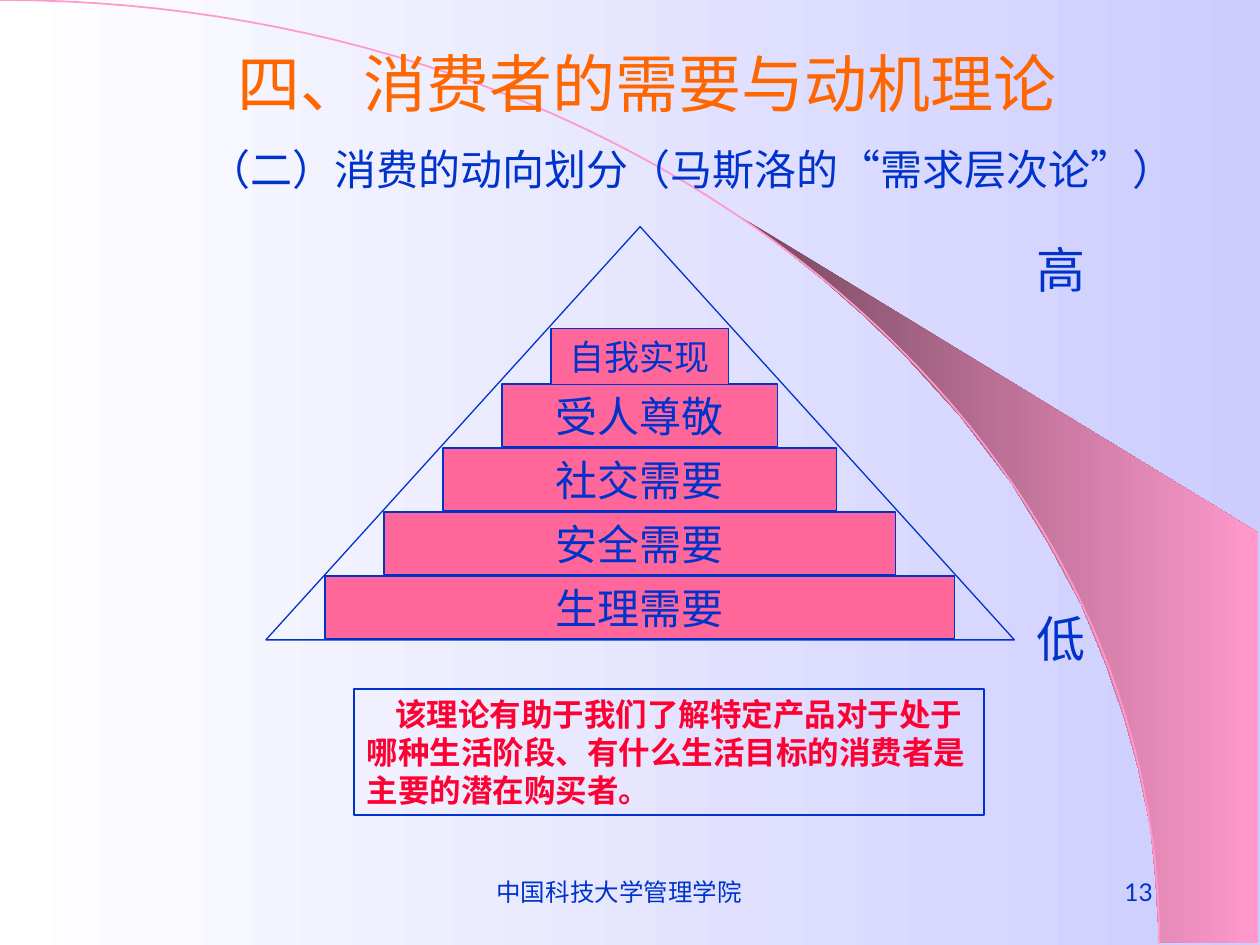
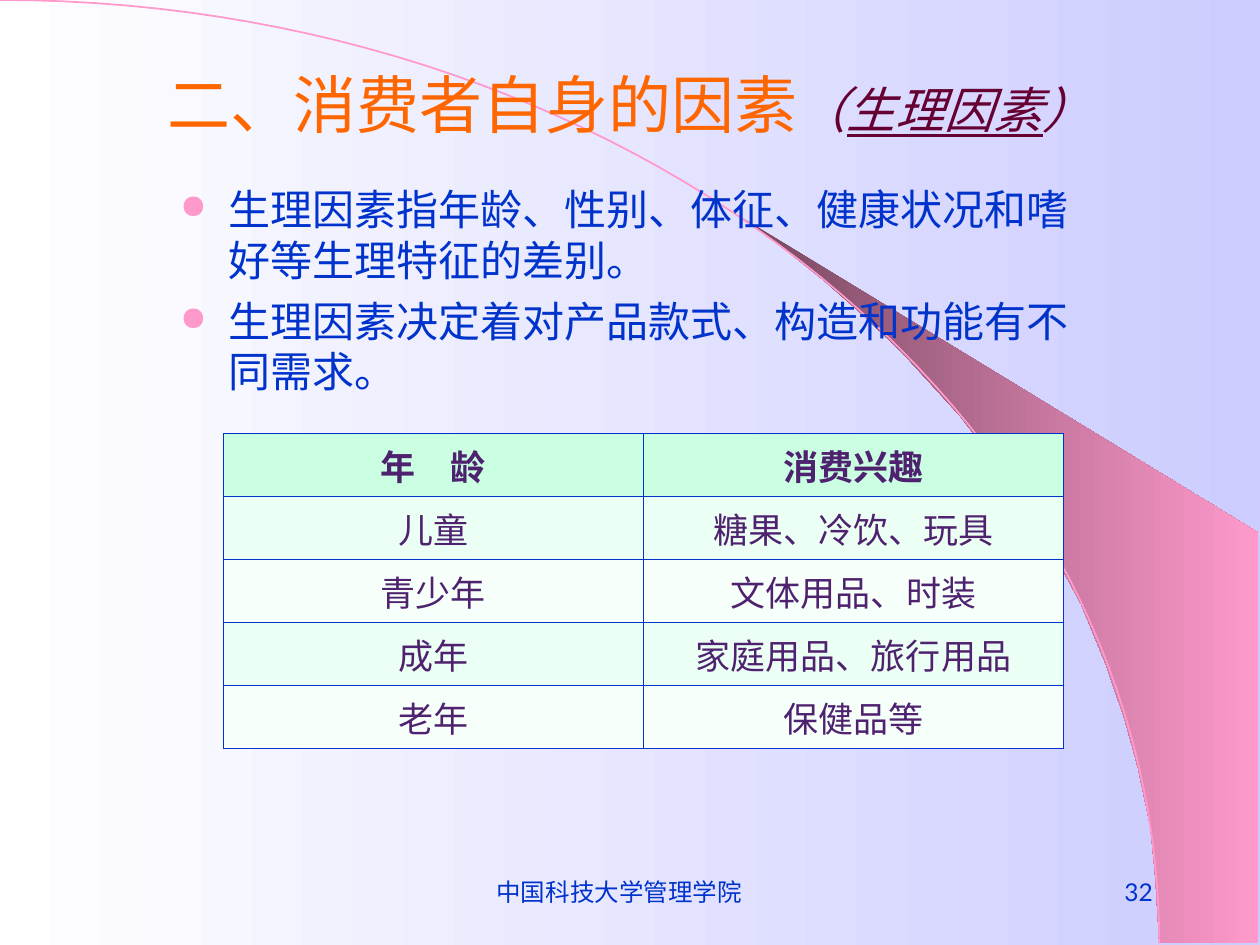
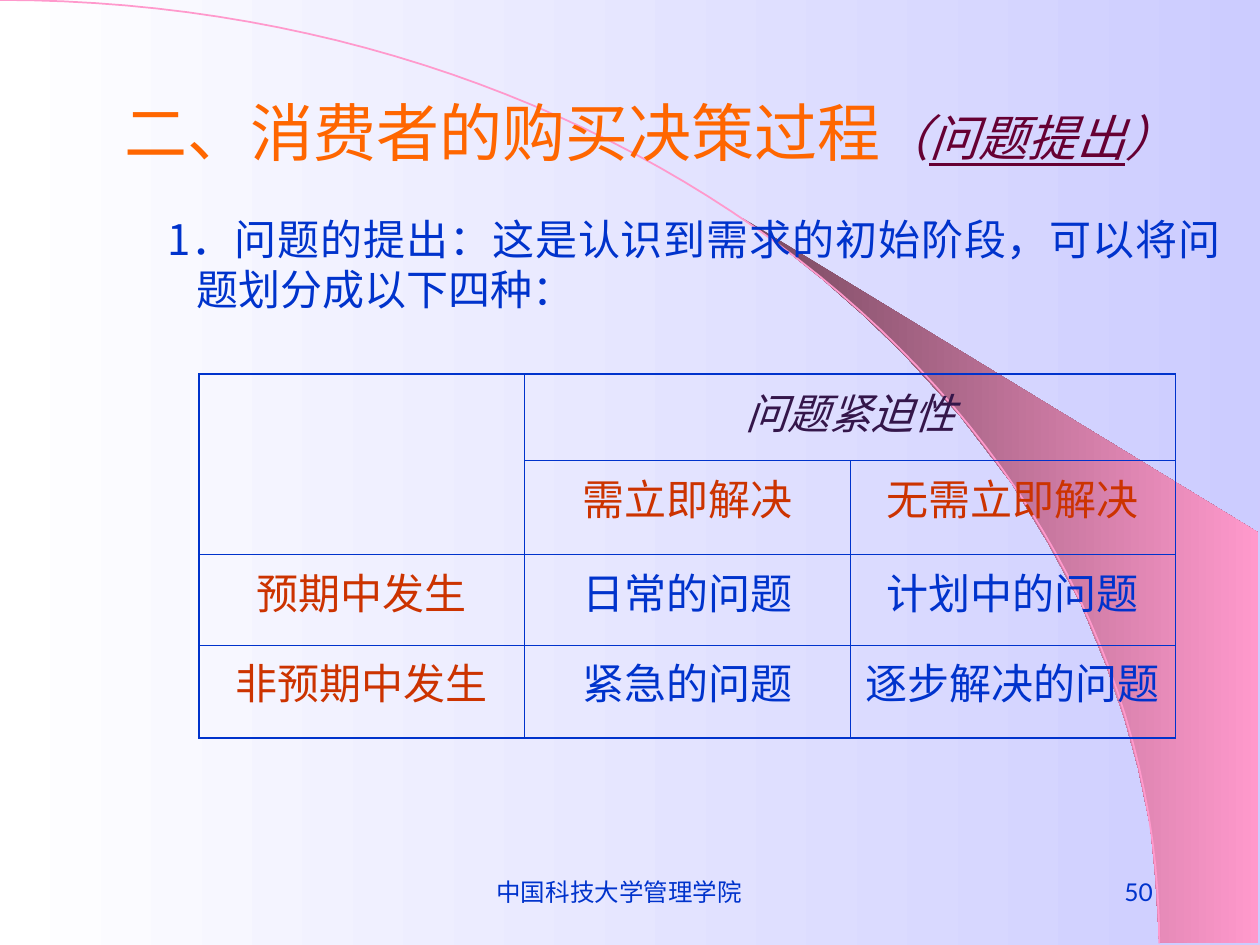
from dataclasses import dataclass

from lxml.etree import SubElement
from pptx import Presentation
from pptx.dml.color import RGBColor
from pptx.dml.fill import FillFormat
from pptx.enum.shapes import MSO_SHAPE
from pptx.enum.text import MSO_ANCHOR, PP_ALIGN
from pptx.oxml import parse_xml
from pptx.oxml.ns import nsdecls, qn
from pptx.shapes.autoshape import Shape
from pptx.slide import Slide
from pptx.table import Table, _Cell
from pptx.text.text import TextFrame
from pptx.util import Cm, Pt

COLORS = {
    "white": "FFFFFF", "lavender": "CCCCFF", "plum": "76475E", "pink": "FF99CC",
    "orange": "FF6600", "blue": "0033CC", "wine": "660033", "red": "FF0033",
    "rose": "FF6699", "violet": "4F2270", "dark violet": "34164A", "rust": "CC3300",
    "mint": "CAFFE2", "pale mint": "ECFFF4", "faint mint": "F6FFFA",
}
HAN_FONT = "Noto Sans CJK SC"
LATIN_FONT = "Lato"
LEADING = 1.2
THIN, THICK = 0.45, 1.08

# Outline of the shaded wedge and control points of the arc, in centimetres.
WEDGE = [
    (23.37, 19.0), (25.37, 19.02), (25.37, 10.74), (14.96, 4.39), (15.85, 5.05),
    (16.59, 5.64), (17.4, 6.35), (18.19, 7.11), (19.35, 8.38), (20.4, 9.75),
    (21.13, 10.95), (21.79, 12.17), (22.3, 13.41), (22.68, 14.53), (22.94, 15.47),
    (23.19, 16.66), (23.29, 17.68),
]
ARC = [(0, 0), (12.9, 0), (23.37, 8.51), (23.37, 19.02)]
ARC_STEPS = 60


@dataclass(frozen=True)
class Box:
    left: float
    top: float
    width: float
    height: float

    def lengths(self) -> tuple[Cm, Cm, Cm, Cm]:
        return Cm(self.left), Cm(self.top), Cm(self.width), Cm(self.height)


@dataclass(frozen=True)
class Level:
    text: str
    box: Box
    size: float = 24


@dataclass(frozen=True)
class CellStyle:
    color: str
    bold: bool = False
    italic: bool = False
    fill: str | None = None


def rgb(name: str) -> RGBColor:
    return RGBColor.from_string(COLORS[name])


def fill_gradient(fill: FillFormat, start: str, end: str) -> None:
    fill.gradient()
    fill.gradient_angle = 0
    for stop, name in zip(fill.gradient_stops, (start, end)):
        stop.color.rgb = rgb(name)


def write(
    frame: TextFrame, text: str, *, size: float = 24, color: str = "blue",
    font: str = HAN_FONT, bold: bool = False, italic: bool = False,
    underline: bool = False, align: PP_ALIGN = PP_ALIGN.LEFT,
    leading: float | None = None, indent: float = 0, first_line: float = 0,
    before: float = 0, bullet: str | None = None, new_paragraph: bool = False,
) -> None:
    """Append a run to the last paragraph, or to a new one."""
    paragraph = frame.add_paragraph() if new_paragraph else frame.paragraphs[-1]
    paragraph.alignment = align
    paragraph.space_before = Pt(before)
    if leading:
        paragraph.line_spacing = Pt(leading)
    properties = paragraph._p.get_or_add_pPr()
    properties.set("marL", str(Cm(indent)))
    properties.set("indent", str(Cm(first_line)))
    if bullet:
        bullet_color = SubElement(properties, qn("a:buClr"))
        SubElement(bullet_color, qn("a:srgbClr"), val=COLORS["pink"])
        SubElement(properties, qn("a:buSzPct"), val="80000")
        SubElement(properties, qn("a:buChar"), char=bullet)
    run = paragraph.add_run()
    run.text = text
    run.font.size = Pt(size)
    run.font.bold = bold
    run.font.italic = italic
    run.font.underline = underline
    run.font.color.rgb = rgb(color)
    run.font.name = font
    SubElement(run._r.get_or_add_rPr(), qn("a:ea"), typeface=HAN_FONT)


def add_text_box(
    slide: Slide, box: Box, anchor: MSO_ANCHOR = MSO_ANCHOR.TOP
) -> TextFrame:
    frame = slide.shapes.add_textbox(*box.lengths()).text_frame
    frame.word_wrap = True
    frame.vertical_anchor = anchor
    return frame


def add_outlined(
    slide: Slide, kind: MSO_SHAPE, box: Box, fill: str | None = None,
    line_width: float = 0.75,
) -> Shape:
    shape = slide.shapes.add_shape(kind, *box.lengths())
    shape.shadow.inherit = False
    if fill:
        shape.fill.solid()
        shape.fill.fore_color.rgb = rgb(fill)
    else:
        shape.fill.background()
    shape.line.color.rgb = rgb("blue")
    shape.line.width = Pt(line_width)
    shape.text_frame.word_wrap = True
    shape.text_frame.vertical_anchor = MSO_ANCHOR.TOP
    return shape


def add_outline(slide: Slide, points: list[tuple[float, float]], close: bool) -> Shape:
    corners = [(Cm(x), Cm(y)) for x, y in points]
    builder = slide.shapes.build_freeform(*corners[0])
    builder.add_line_segments(corners[1:], close=close)
    shape = builder.convert_to_shape()
    shape.shadow.inherit = False
    return shape


def arc_point(t: float) -> tuple[float, float]:
    """Point of the cubic curve through the ARC control points."""
    weights = ((1 - t) ** 3, 3 * t * (1 - t) ** 2, 3 * t**2 * (1 - t), t**3)
    x, y = (sum(w * p[axis] for w, p in zip(weights, ARC)) for axis in (0, 1))
    return x, y


def add_decoration(slide: Slide) -> None:
    wedge = add_outline(slide, WEDGE, close=True)
    fill_gradient(wedge.fill, "plum", "pink")
    wedge.line.fill.background()
    points = [arc_point(step / ARC_STEPS) for step in range(ARC_STEPS + 1)]
    arc = add_outline(slide, points, close=False)
    arc.fill.background()
    arc.line.color.rgb = rgb("pink")
    arc.line.width = Pt(1)


def add_footer(slide: Slide, number: int) -> None:
    school = add_text_box(slide, Box(8.69, 17.35, 8.05, 1.27), MSO_ANCHOR.MIDDLE)
    school.margin_right = Cm(0.71)
    write(school, "中国科技大学管理学院", size=14, font=LATIN_FONT, align=PP_ALIGN.CENTER)
    page = add_text_box(slide, Box(18.21, 17.35, 5.28, 1.27), MSO_ANCHOR.MIDDLE)
    write(page, str(number), size=14, font=LATIN_FONT, align=PP_ALIGN.RIGHT)


def add_title(slide: Slide, box: Box, text: str, topic: str | None = None) -> None:
    frame = add_text_box(slide, box, MSO_ANCHOR.MIDDLE)
    write(frame, text, size=36, color="orange", align=PP_ALIGN.CENTER)
    if topic:
        for part in ("（", topic, "）"):
            write(frame, part, size=28, color="wine", italic=True,
                  underline=part == topic, align=PP_ALIGN.CENTER)


def start_slide(
    presentation: Presentation, number: int, title_box: Box, title: str,
    topic: str | None = None,
) -> Slide:
    slide = presentation.slides.add_slide(presentation.slide_layouts[6])
    add_decoration(slide)
    add_title(slide, title_box, title, topic)
    add_footer(slide, number)
    return slide


def set_borders(cell: _Cell, widths: dict[str, float]) -> None:
    properties = cell._tc.get_or_add_tcPr()
    for index, (side, width) in enumerate(widths.items()):
        line = parse_xml(
            f'<a:ln{side} {nsdecls("a")} w="{Pt(width)}"><a:solidFill>'
            f'<a:srgbClr val="{COLORS["blue"]}"/></a:solidFill></a:ln{side}>'
        )
        properties.insert(index, line)


def add_plain_table(
    slide: Slide, box: Box, row_heights: list[float], columns: int
) -> Table:
    frame = slide.shapes.add_table(len(row_heights), columns, *box.lengths())
    table = frame.table
    table.first_row = table.horz_banding = False
    for row, height in zip(table.rows, row_heights):
        row.height = Cm(height)
    for column in table.columns:
        column.width = Cm(box.width / columns)
    return table


def fill_table(
    table: Table, texts: list[list[str]], styles: list[list[CellStyle]],
    size: float, frame_width: float,
) -> None:
    last_row, last_column = len(texts) - 1, len(texts[0]) - 1
    for r, (row_texts, row_styles) in enumerate(zip(texts, styles)):
        for c, (text, style) in enumerate(zip(row_texts, row_styles)):
            cell = table.cell(r, c)
            if style.fill:
                cell.fill.solid()
                cell.fill.fore_color.rgb = rgb(style.fill)
            else:
                cell.fill.background()
            outer = {
                "L": c == 0,
                "R": c + cell.span_width - 1 == last_column,
                "T": r == 0,
                "B": r + cell.span_height - 1 == last_row,
            }
            set_borders(cell, {side: frame_width if is_outer else THIN
                               for side, is_outer in outer.items()})
            if text:
                write(cell.text_frame, text, size=size, color=style.color,
                      bold=style.bold, italic=style.italic, align=PP_ALIGN.CENTER)


def build_needs_slide(presentation: Presentation) -> None:
    slide = start_slide(presentation, 13, Box(4.17, 0.58, 17.75, 2.18),
                        "四、消费者的需要与动机理论")
    for text, top in (("高", 4.7), ("低", 12.14)):
        write(add_text_box(slide, Box(20.65, top, 1.47, 1.45)), text,
              size=28, leading=28 * LEADING)
    write(add_text_box(slide, Box(3.96, 2.77, 20.45, 1.27)),
          "（二）消费的动向划分（马斯洛的“需求层次论”）", leading=24 * LEADING)

    note = add_outlined(slide, MSO_SHAPE.RECTANGLE, Box(7.14, 13.89, 12.7, 2.54),
                        line_width=1.25)
    write(note.text_frame,
          "该理论有助于我们了解特定产品对于处于哪种生活阶段、有什么生活目标的消费者是主要的潜在购买者。",
          size=18, color="red", bold=True, first_line=0.58, leading=18 * LEADING)

    add_outlined(slide, MSO_SHAPE.FLOWCHART_EXTRACT, Box(5.36, 4.57, 15.09, 8.33))
    center = 12.9
    levels = []
    for index, text in enumerate(["生理需要", "安全需要", "社交需要", "受人尊敬"]):
        width = 12.7 - 2.38 * index
        box = Box(center - width / 2, 11.61 - 1.29 * index, width, 1.27)
        levels.append(Level(text, box))
    levels.append(Level("自我实现", Box(center - 1.79, 6.63, 3.58, 1.12), size=20))
    for level in levels:
        step = add_outlined(slide, MSO_SHAPE.RECTANGLE, level.box, fill="rose")
        write(step.text_frame, level.text, size=level.size, align=PP_ALIGN.CENTER,
              leading=level.size * LEADING)


def build_physiology_slide(presentation: Presentation) -> None:
    slide = start_slide(presentation, 32, Box(1.9, 0.99, 21.59, 2.18),
                        "二、消费者自身的因素", "生理因素")
    points = [
        "生理因素指年龄、性别、体征、健康状况和嗜好等生理特征的差别。",
        "生理因素决定着对产品款式、构造和功能有不同需求。",
    ]
    frame = add_text_box(slide, Box(3.38, 3.58, 18.92, 4.95))
    for index, point in enumerate(points):
        write(frame, point, indent=0.97, first_line=-0.97, bullet="●",
              leading=24 * LEADING, before=6 if index else 0,
              new_paragraph=index > 0)

    texts = [
        ["年　龄", "消费兴趣"],
        ["儿童", "糖果、冷饮、玩具"],
        ["青少年", "文体用品、时装"],
        ["成年", "家庭用品、旅行用品"],
        ["老年", "保健品等"],
    ]
    header = CellStyle("violet", bold=True, fill="mint")
    bands = [CellStyle("violet", fill=name) for name in ("pale mint", "faint mint")]
    styles = [[style] * 2 for style in [header, *bands, *bands]]
    table = add_plain_table(slide, Box(4.5, 8.74, 16.94, 6.35), [1.27] * 5, 2)
    fill_table(table, texts, styles, size=20, frame_width=THIN)


def build_problem_slide(presentation: Presentation) -> None:
    slide = start_slide(presentation, 50, Box(2.18, 1.4, 21.82, 2.51),
                        "二、消费者的购买决策过程", "问题提出")
    write(add_text_box(slide, Box(2.74, 4.17, 22.12, 12.78)),
          "1．问题的提出：这是认识到需求的初始阶段，可以将问题划分成以下四种：",
          align=PP_ALIGN.JUSTIFY, indent=0.97, first_line=-0.58, leading=24 * LEADING)

    texts = [
        ["", "问题紧迫性", ""],
        ["", "需立即解决", "无需立即解决"],
        ["预期中发生", "日常的问题", "计划中的问题"],
        ["非预期中发生", "紧急的问题", "逐步解决的问题"],
    ]
    heading = CellStyle("dark violet", italic=True)
    label, answer = CellStyle("rust"), CellStyle("blue")
    styles = [[heading] * 3, [label] * 3, *[[label, answer, answer]] * 2]
    table = add_plain_table(slide, Box(4.01, 7.54, 19.69, 7.34),
                            [1.75, 1.88, 1.83, 1.88], 3)
    table.cell(0, 0).merge(table.cell(1, 0))
    table.cell(0, 1).merge(table.cell(0, 2))
    fill_table(table, texts, styles, size=24, frame_width=THICK)


def main() -> None:
    presentation = Presentation()
    presentation.slide_width, presentation.slide_height = Cm(25.4), Cm(19.05)
    fill_gradient(presentation.slide_master.background.fill, "white", "lavender")
    build_needs_slide(presentation)
    build_physiology_slide(presentation)
    build_problem_slide(presentation)
    presentation.save("out.pptx")


if __name__ == "__main__":
    main()
